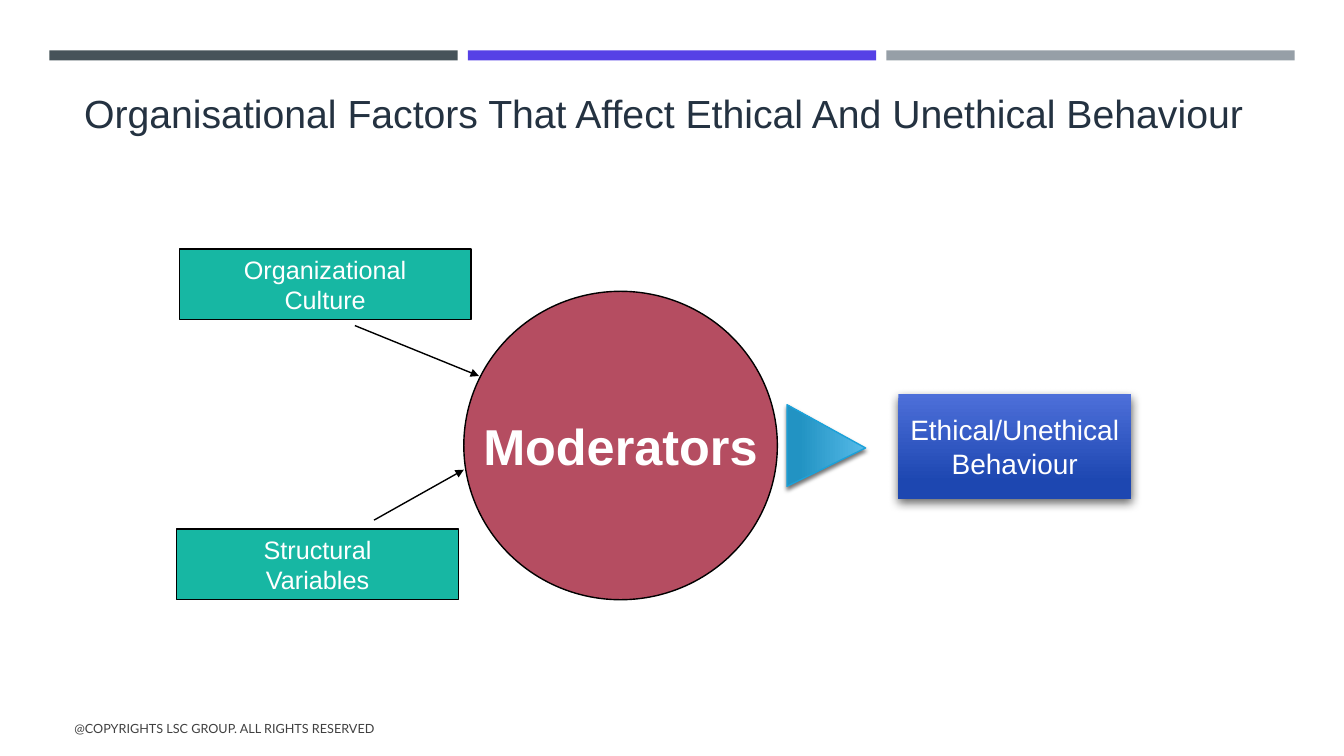
from lxml import etree
from pptx import Presentation
from pptx import util as u
from pptx.dml import color
from pptx.enum import shapes, text
from pptx.oxml import ns

KIND = shapes.MSO_SHAPE
MID, TOP = text.MSO_ANCHOR.MIDDLE, text.MSO_ANCHOR.TOP

TITLE = "Organisational Factors That Affect Ethical And Unethical Behaviour"
FOOT = "@COPYRIGHTS LSC GROUP. ALL RIGHTS RESERVED"
BARS = ["465359", "5641E6", "969FA7"]
HUB = ["Moderators"]
RESULT = ["Ethical/Unethical", "Behaviour"]
CAUSES = [
    (["Organizational", "Culture"], (1.78, 2.47, 2.89, 0.7)),
    (["Structural", "Variables"], (1.75, 5.25, 2.8, 0.7)),
]
ARROWS = [((3.71, 5.16), (4.6, 4.66)), ((3.52, 3.23), (4.75, 3.73))]


def rgb(code):
    return color.RGBColor.from_string(code)


def inches(nums):
    return [u.Inches(n) for n in nums]


def write(shape, lines, size, code, font="Arial", bold=False,
          align=text.PP_ALIGN.CENTER, anchor=MID, wrap=True):
    frame = shape.text_frame
    frame.word_wrap = wrap
    frame.auto_size = text.MSO_AUTO_SIZE.NONE
    frame.vertical_anchor = anchor
    for i, line in enumerate(lines):
        para = frame.add_paragraph() if i else frame.paragraphs[0]
        para.alignment = align
        run = para.add_run()
        run.text = line
        run.font.size = u.Pt(size)
        run.font.name = font
        run.font.bold = bold
        run.font.color.rgb = rgb(code)


def draw(kind, box, fill, line=None):
    shape = slide.shapes.add_shape(kind, *inches(box))
    shape.shadow.inherit = False
    if isinstance(fill, str):
        shape.fill.solid()
        shape.fill.fore_color.rgb = rgb(fill)
    else:
        shape.fill.gradient()
        shape.fill.gradient_angle = 270
        for stop, (place, code) in zip(shape.fill.gradient_stops, fill):
            stop.position = place
            stop.color.rgb = rgb(code)
    if line:
        shape.line.color.rgb = rgb(line)
        shape.line.width = u.Pt(1)
    else:
        shape.line.fill.background()
    return shape


def shade(shape, alpha, blur, dist, angle):
    effects = shape._element.spPr.find(ns.qn("a:effectLst"))
    glow = etree.SubElement(
        effects, ns.qn("a:outerShdw"), blurRad=str(u.Pt(blur)),
        dist=str(u.Pt(dist)), dir=str(angle * 60000), rotWithShape="0")
    tint = etree.SubElement(glow, ns.qn("a:srgbClr"), val="000000")
    etree.SubElement(tint, ns.qn("a:alpha"), val=str(alpha * 1000))


def link(start, end):
    wire = slide.shapes.add_connector(
        shapes.MSO_CONNECTOR.STRAIGHT, *inches(start + end))
    wire.line.color.rgb = rgb("000000")
    wire.line.width = u.Pt(1)
    etree.SubElement(wire.line._get_or_add_ln(), ns.qn("a:tailEnd"),
                     type="triangle")
    etree.SubElement(wire._element.spPr, ns.qn("a:effectLst"))


deck = Presentation()
deck.slide_width, deck.slide_height = inches((13.33, 7.5))
slide = deck.slides.add_slide(deck.slide_layouts[5])

for i, code in enumerate(BARS):
    draw(KIND.RECTANGLE, (0.49 + 4.15 * i, 0.5, 4.05, 0.1), code)

title = slide.shapes.title
title.left, title.top, title.width, title.height = inches(
    (0.38, 0.87, 12.4, 0.5))
write(title, [TITLE], 28, "243241")

hub = draw(KIND.OVAL, (4.6, 2.89, 3.11, 3.06), "B54D61", "000000")
write(hub, HUB, 36, "FFFFFF", bold=True, wrap=False)

result = draw(KIND.RECTANGLE, (8.91, 3.91, 2.31, 1.04),
              [(0, "4D6FD9"), (0.84, "1D47B1")])
shade(result, 60, 7, 3, 84)
write(result, RESULT, 20, "FFFFFF", wrap=False)

point = draw(KIND.ISOSCELES_TRIANGLE, (7.79, 4.03, 0.81, 0.78),
             [(0, "56BAE8"), (0.84, "2293C3")], "1CA1D9")
point.adjustments[0] = 0.53
point.rotation = 90
shade(point, 55, 3, 2, 90)

for lines, box in CAUSES:
    cause = draw(KIND.RECTANGLE, box, "17B7A3", "000000")
    write(cause, lines, 18, "FFFFFF", anchor=TOP)

for start, end in ARROWS:
    link(start, end)

foot = slide.shapes.add_textbox(*inches((0.64, 7.03, 7.56, 0.4)))
write(foot, [FOOT], 9, "404040", font="Lato", align=text.PP_ALIGN.LEFT)

deck.save("out.pptx")
